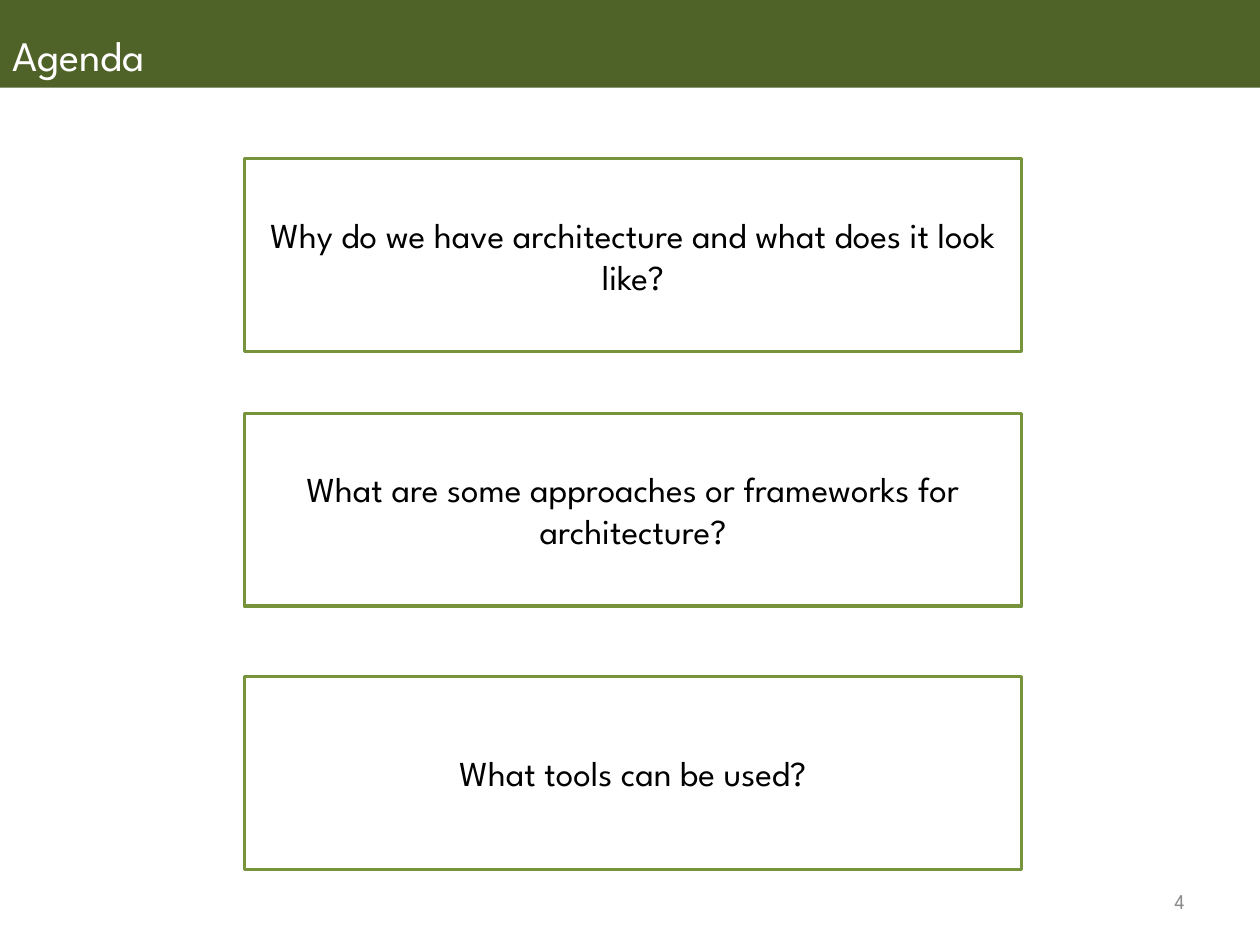
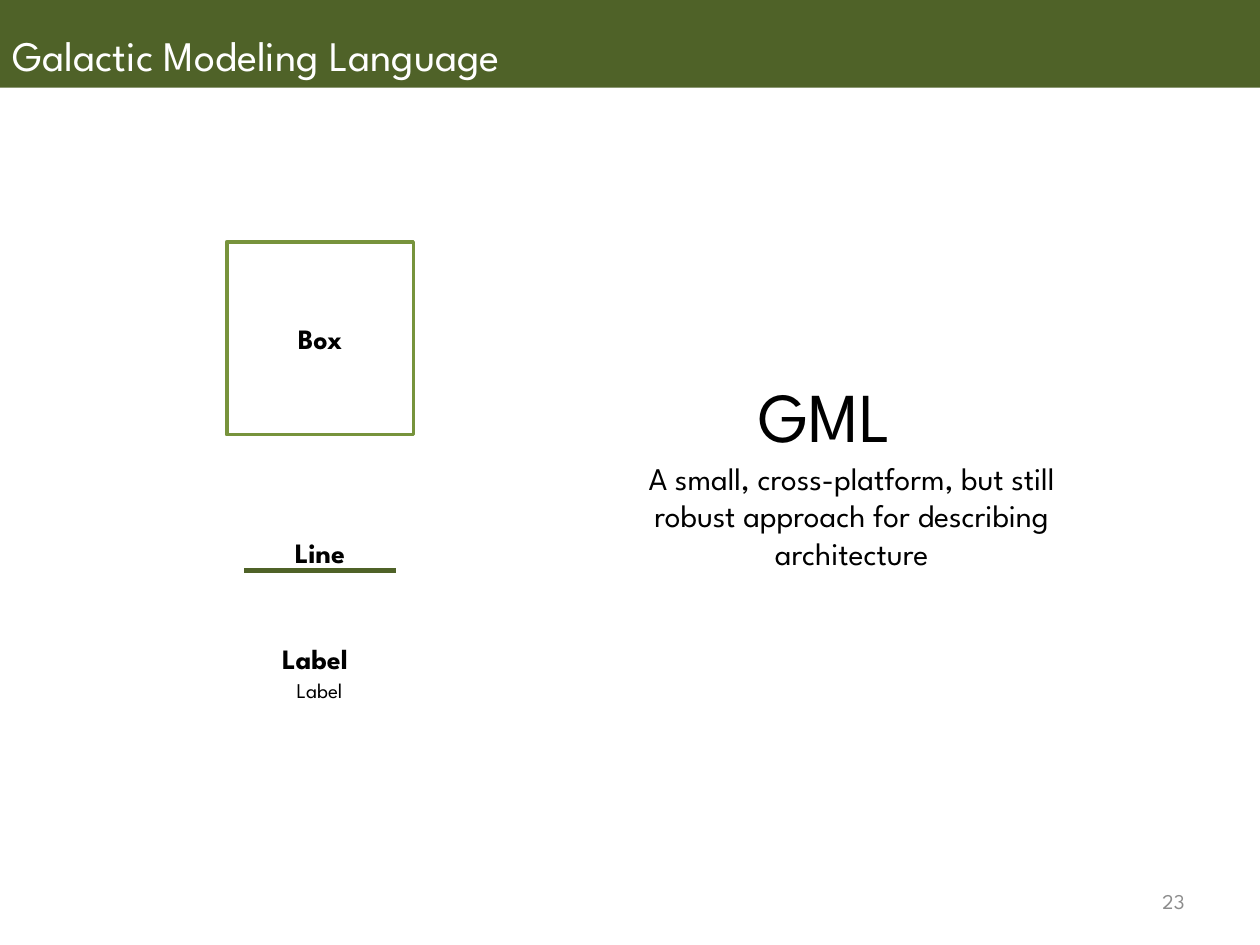
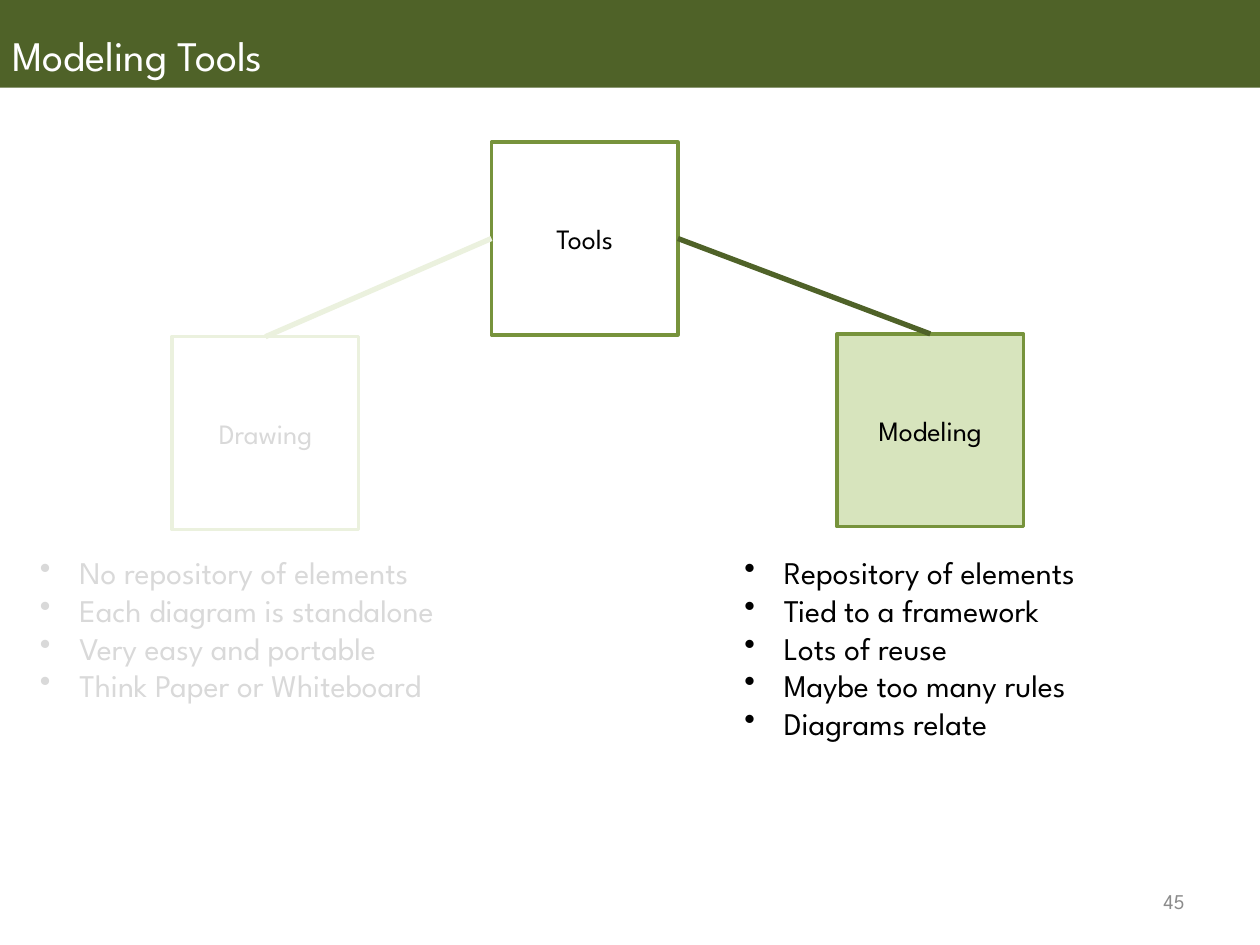
"""Build three slides on architecture: the agenda, a modeling language and modeling tools."""

from dataclasses import dataclass

from lxml import etree
from pptx import Presentation
from pptx.dml.color import RGBColor
from pptx.enum.shapes import MSO_CONNECTOR, MSO_SHAPE
from pptx.enum.text import MSO_ANCHOR, MSO_AUTO_SIZE, PP_ALIGN
from pptx.oxml.ns import qn
from pptx.presentation import Presentation as Deck
from pptx.shapes.autoshape import Shape
from pptx.shapes.connector import Connector
from pptx.slide import Slide
from pptx.text.text import TextFrame
from pptx.util import Pt

RECTANGLE = MSO_SHAPE.RECTANGLE
STRAIGHT = MSO_CONNECTOR.STRAIGHT
LEFT, CENTER, RIGHT = PP_ALIGN.LEFT, PP_ALIGN.CENTER, PP_ALIGN.RIGHT
TOP, MIDDLE = MSO_ANCHOR.TOP, MSO_ANCHOR.MIDDLE
GROW = MSO_AUTO_SIZE.SHAPE_TO_FIT_TEXT
TOP_SIDE, LEFT_SIDE, RIGHT_SIDE = 0, 1, 3

DARK_GREEN = RGBColor(0x4F, 0x62, 0x28)
GREEN = RGBColor(0x77, 0x93, 0x3C)
LIGHT_GREEN = RGBColor(0xD7, 0xE4, 0xBD)
PALE_GREEN = RGBColor(0xEB, 0xF1, 0xDE)
FADED_GRAY = RGBColor(0xD9, 0xD9, 0xD9)
NUMBER_GRAY = RGBColor(0x8C, 0x8C, 0x8C)
BLACK = RGBColor(0, 0, 0)
WHITE = RGBColor(0xFF, 0xFF, 0xFF)

FONT = "League Spartan"
SLIDE_WIDTH, SLIDE_HEIGHT = 720, 540
BOX_HEIGHT = 110.2
AGENDA_WIDTH = 444.2
SQUARE_WIDTH = 106.6
BULLET_INDENT = 22.5


@dataclass(frozen=True)
class TextStyle:
    """Look of the text in one frame."""

    size: float
    color: RGBColor = BLACK
    bold: bool = False
    align: PP_ALIGN = CENTER
    spacing: float | None = None
    bulleted: bool = False


@dataclass(frozen=True)
class Box:
    """An outlined box with a centred caption."""

    caption: str
    left: float
    top: float
    width: float = SQUARE_WIDTH
    size: float = 16
    bold: bool = False
    color: RGBColor = BLACK
    outline: RGBColor = GREEN
    fill: RGBColor | None = None


@dataclass(frozen=True)
class Note:
    """Free text, one paragraph for each line."""

    lines: tuple[str, ...]
    left: float
    top: float
    width: float
    height: float
    style: TextStyle
    wrap: bool = True
    anchor: MSO_ANCHOR = TOP
    grow: bool = True


TITLE_STYLE = TextStyle(24, WHITE, align=LEFT, spacing=0.9)
NUMBER_STYLE = TextStyle(12, NUMBER_GRAY, align=RIGHT)

AGENDA = (
    Box("Why do we have architecture and what does it look like?", 139.7, 90.7, AGENDA_WIDTH, 20),
    Box("What are some approaches or frameworks for architecture?", 139.7, 236.2, AGENDA_WIDTH, 20),
    Box("What tools can be used?", 139.7, 386.6, AGENDA_WIDTH, 20),
)

LANGUAGE_BOX = Box("Box", 129.6, 138.2, bold=True)
LANGUAGE_NOTES = (
    Note(("Line",), 145.4, 302.4, 74.9, 26.6, TextStyle(16, bold=True)),
    Note(("Label",), 153.4, 383.8, 58.3, 21.6, TextStyle(12)),
    Note(("Label",), 154.1, 362.9, 57.6, 26.6, TextStyle(16, bold=True, align=LEFT), wrap=False),
    Note(
        ("A small, cross-platform, but still robust approach for describing architecture",),
        344.9, 258.5, 283.7, 72.7, TextStyle(18),
    ),
    Note(("GML",), 426.2, 209.5, 105.8, 55.4, TextStyle(40, align=LEFT), wrap=False),
)

TOOLS = Box("Tools", 280.8, 81.2)
DRAWING = Box("Drawing", 98.4, 192.4, color=FADED_GRAY, outline=PALE_GREEN)
MODELING = Box("Modeling", 478.3, 190.8, fill=LIGHT_GREEN)
TOOL_NOTES = (
    Note(
        (
            "No repository of elements",
            "Each diagram is standalone",
            "Very easy and portable",
            "Think Paper or Whiteboard",
        ),
        15.8, 312.5, 283, 116.6,
        TextStyle(18, FADED_GRAY, align=LEFT, bulleted=True), wrap=False,
    ),
    Note(
        (
            "Repository of elements",
            "Tied to a framework",
            "Lots of reuse",
            "Maybe too many rules",
            "Diagrams relate",
        ),
        418.3, 312.5, 235.4, 116.6,
        TextStyle(18, align=LEFT, bulleted=True), wrap=False,
    ),
)


def write(frame: TextFrame, lines: tuple[str, ...], style: TextStyle) -> None:
    """Fill a frame with one paragraph for each line."""
    for index, line in enumerate(lines):
        paragraph = frame.paragraphs[0] if index == 0 else frame.add_paragraph()
        paragraph.alignment = style.align
        if style.spacing:
            paragraph.line_spacing = style.spacing
        if style.bulleted:
            properties = paragraph._p.get_or_add_pPr()
            properties.set("marL", str(Pt(BULLET_INDENT)))
            properties.set("indent", str(-Pt(BULLET_INDENT)))
            etree.SubElement(properties, qn("a:buChar"), char="•")
        run = paragraph.add_run()
        run.text = line
        run.font.name = FONT
        run.font.size = Pt(style.size)
        run.font.bold = style.bold
        run.font.color.rgb = style.color


def add_rectangle(
    slide: Slide, left: float, top: float, width: float, height: float,
    fill: RGBColor | None, outline: RGBColor | None,
) -> Shape:
    """Add a flat rectangle."""
    rectangle = slide.shapes.add_shape(RECTANGLE, Pt(left), Pt(top), Pt(width), Pt(height))
    rectangle.shadow.inherit = False
    if fill is None:
        rectangle.fill.background()
    else:
        rectangle.fill.solid()
        rectangle.fill.fore_color.rgb = fill
    if outline is None:
        rectangle.line.fill.background()
    else:
        rectangle.line.color.rgb = outline
        rectangle.line.width = Pt(2)
    rectangle.text_frame.word_wrap = True
    return rectangle


def add_box(slide: Slide, box: Box) -> Shape:
    """Add an outlined box and its caption."""
    shape = add_rectangle(slide, box.left, box.top, box.width, BOX_HEIGHT, box.fill, box.outline)
    shape.text_frame.vertical_anchor = MIDDLE
    write(shape.text_frame, (box.caption,), TextStyle(box.size, box.color, box.bold))
    return shape


def add_note(slide: Slide, note: Note) -> None:
    """Add free text."""
    frame = slide.shapes.add_textbox(
        Pt(note.left), Pt(note.top), Pt(note.width), Pt(note.height)
    ).text_frame
    frame.word_wrap = note.wrap
    frame.vertical_anchor = note.anchor
    if note.grow:
        frame.auto_size = GROW
    write(frame, note.lines, note.style)


def add_line(
    slide: Slide, color: RGBColor, left: float = 0, top: float = 0, length: float = 0
) -> Connector:
    """Add a thick level line, which may be joined to boxes afterwards."""
    line = slide.shapes.add_connector(STRAIGHT, Pt(left), Pt(top), Pt(left + length), Pt(top))
    line.line.color.rgb = color
    line.line.width = Pt(3)
    etree.SubElement(line._element.spPr, qn("a:effectLst"))
    return line


def join(slide: Slide, parent: Shape, side: int, child: Shape, color: RGBColor) -> None:
    """Link a side of the parent box to the top of the child box."""
    link = add_line(slide, color)
    link.begin_connect(parent, side)
    link.end_connect(child, TOP_SIDE)


def add_slide(deck: Deck, title: str, number: int) -> Slide:
    """Add a slide with its number and title band."""
    slide = deck.slides.add_slide(deck.slide_layouts[6])
    add_note(
        slide,
        Note((str(number),), 516, 500.5, 168, 28.8, NUMBER_STYLE, anchor=MIDDLE, grow=False),
    )
    band = add_rectangle(slide, 0, -0.5, SLIDE_WIDTH, 50.6, DARK_GREEN, None)
    band.text_frame.vertical_anchor = TOP
    band.text_frame.margin_top = Pt(20.4)
    write(band.text_frame, (title,), TITLE_STYLE)
    return slide


def build_agenda(deck: Deck) -> None:
    """Build the agenda."""
    slide = add_slide(deck, "Agenda", 4)
    for question in AGENDA:
        add_box(slide, question)


def build_language(deck: Deck) -> None:
    """Build the legend of the modeling language."""
    slide = add_slide(deck, "Galactic Modeling Language", 23)
    add_box(slide, LANGUAGE_BOX)
    add_line(slide, DARK_GREEN, 139.7, 326.2, 86.4)
    for note in LANGUAGE_NOTES:
        add_note(slide, note)


def build_tools(deck: Deck) -> None:
    """Build the tree of tools."""
    slide = add_slide(deck, "Modeling Tools", 45)
    tools, drawing, modeling = (add_box(slide, box) for box in (TOOLS, DRAWING, MODELING))
    join(slide, tools, LEFT_SIDE, drawing, PALE_GREEN)
    join(slide, tools, RIGHT_SIDE, modeling, DARK_GREEN)
    for note in TOOL_NOTES:
        add_note(slide, note)


def main() -> None:
    """Build and save the presentation."""
    deck = Presentation()
    deck.slide_width, deck.slide_height = Pt(SLIDE_WIDTH), Pt(SLIDE_HEIGHT)
    for build in (build_agenda, build_language, build_tools):
        build(deck)
    deck.save("out.pptx")


if __name__ == "__main__":
    main()
